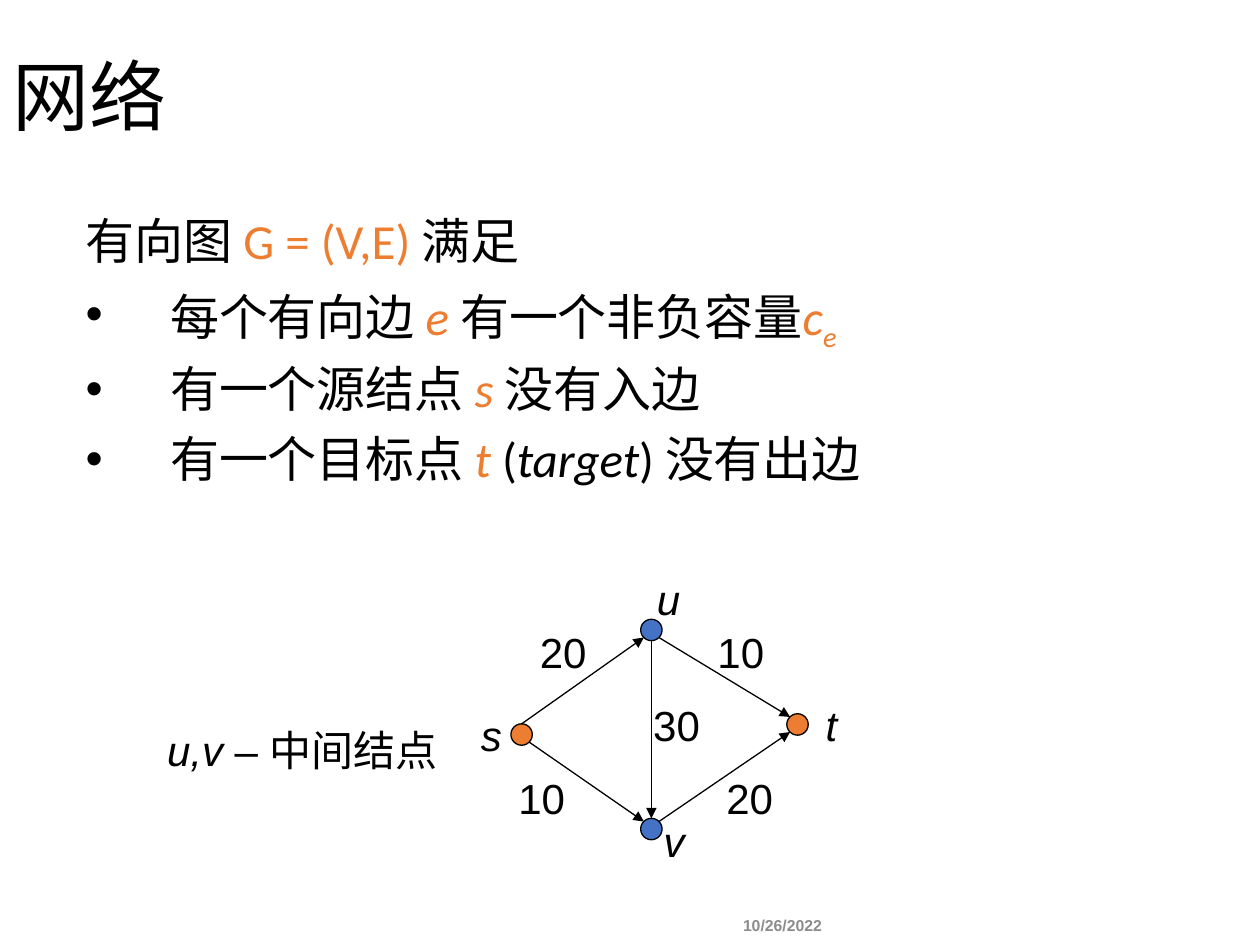
"""Build a slide that defines a flow network and shows a small example."""
from lxml.etree import SubElement
from pptx import Presentation
from pptx.dml.color import RGBColor
from pptx.enum.shapes import MSO_CONNECTOR, MSO_SHAPE
from pptx.enum.text import MSO_ANCHOR, MSO_AUTO_SIZE, PP_ALIGN
from pptx.oxml.ns import qn
from pptx.util import Inches, Pt

BLACK, ORANGE, BLUE, GREY = "000000", "ED7D31", "4472C4", "8C8C8C"
TITLE = "网络"
PLAIN, MATH, SYMBOL, SUBSCRIPT, WORD = "plain", "math", "symbol", "subscript", "word"
STYLES = {
    PLAIN: (BLACK, False),
    MATH: (ORANGE, False),
    SYMBOL: (ORANGE, True),
    SUBSCRIPT: (ORANGE, True),
    WORD: (BLACK, True),
}
BODY = [
    [("有向图 ", PLAIN), ("G = (V,E) ", MATH), ("满足", PLAIN)],
    [("每个有向边 ", PLAIN), ("e ", SYMBOL), ("有一个非负容量", PLAIN),
     ("c", SYMBOL), ("e", SUBSCRIPT)],
    [("有一个源结点 ", PLAIN), ("s ", SYMBOL), ("没有入边", PLAIN)],
    [("有一个目标点 ", PLAIN), ("t", SYMBOL), (" (", PLAIN),
     ("target", WORD), (") 没有出边", PLAIN)],
]
DIAMETER = 0.17
NODES = {
    "s": ((4.14, 5.83), ORANGE, (3.9, 5.83)),
    "u": ((5.17, 5.0), BLUE, (5.3, 4.75)),
    "t": ((6.33, 5.75), ORANGE, (6.6, 5.75)),
    "v": ((5.17, 6.58), BLUE, (5.35, 6.67)),
}
SIDES = {
    "top": (0, -0.5), "bottom": (0, 0.5),
    "top left": (-0.35, -0.35), "top right": (0.35, -0.35),
    "bottom left": (-0.35, 0.35), "bottom right": (0.35, 0.35),
}
EDGES = [
    ("s", "top", "u", "bottom left", "20", (4.47, 5.17)),
    ("u", "bottom right", "t", "top left", "10", (5.88, 5.17)),
    ("s", "bottom right", "v", "top left", "10", (4.3, 6.33)),
    ("v", "top right", "t", "bottom left", "20", (5.95, 6.33)),
    ("u", "bottom", "v", "top", "30", (5.37, 5.75)),
]


def rgb(value):
    return RGBColor.from_string(value)


def set_font(font, size, color, name="Arial", italic=False, bold=False):
    font.size, font.name = Pt(size), name
    font.italic, font.bold = italic, bold
    font.color.rgb = rgb(color)


def place(shape, left, top, width, height):
    shape.left, shape.top = Inches(left), Inches(top)
    shape.width, shape.height = Inches(width), Inches(height)


def add_label(slide, text, center, width=0.57, height=0.5, wrap=False, **style):
    box = slide.shapes.add_textbox(
        Inches(center[0] - width / 2), Inches(center[1] - height / 2),
        Inches(width), Inches(height))
    frame = box.text_frame
    frame.word_wrap = wrap
    frame.vertical_anchor = MSO_ANCHOR.MIDDLE
    paragraph = frame.paragraphs[0]
    paragraph.alignment = PP_ALIGN.CENTER
    paragraph.add_run().text = text
    set_font(paragraph.font, **{"size": 24, "color": BLACK, **style})
    return paragraph


def add_title(slide):
    title = slide.shapes.title
    place(title, 0, 0.17, 9.17, 1.25)
    title.text_frame.text = TITLE
    title.text_frame.vertical_anchor = MSO_ANCHOR.MIDDLE
    paragraph = title.text_frame.paragraphs[0]
    paragraph.alignment = PP_ALIGN.LEFT
    paragraph.line_spacing = 0.9
    set_font(paragraph.font, 44, BLACK, "Calibri")


def add_body(slide):
    body = slide.placeholders[1]
    place(body, 0.58, 1.67, 9.42, 3.92)
    frame = body.text_frame
    frame.auto_size = MSO_AUTO_SIZE.NONE
    for index, runs in enumerate(BODY):
        paragraph = frame.add_paragraph() if index else frame.paragraphs[0]
        paragraph.line_spacing = 0.9
        paragraph.space_before = Pt(10 if index else 0)
        properties = paragraph._p.get_or_add_pPr()
        properties.set("marL", str(Inches(0.67)))
        properties.set("indent", str(-Inches(0.67)))
        if index:
            SubElement(properties, qn("a:buFont")).set("typeface", "Arial")
            SubElement(properties, qn("a:buChar")).set("char", "•")
        else:
            SubElement(properties, qn("a:buNone"))
        for text, style in runs:
            run = paragraph.add_run()
            run.text = text
            color, italic = STYLES[style]
            set_font(run.font, 28, color, "Calibri", italic)
            if style == SUBSCRIPT:
                run._r.get_or_add_rPr().set("baseline", "-25000")


def side_point(node, side):
    return [Inches(center + share * DIAMETER)
            for center, share in zip(NODES[node][0], SIDES[side])]


def add_network(slide):
    for name, ((x, y), color, label_center) in NODES.items():
        node = slide.shapes.add_shape(
            MSO_SHAPE.OVAL, Inches(x - DIAMETER / 2), Inches(y - DIAMETER / 2),
            Inches(DIAMETER), Inches(DIAMETER))
        node.shadow.inherit = False
        node.fill.solid()
        node.fill.fore_color.rgb = rgb(color)
        node.line.color.rgb = rgb(BLACK)
        node.line.width = Pt(0.75)
        add_label(slide, name, label_center, width=0.37, italic=True)
    for source, source_side, target, target_side, capacity, label_center in EDGES:
        edge = slide.shapes.add_connector(
            MSO_CONNECTOR.STRAIGHT, *side_point(source, source_side),
            *side_point(target, target_side))
        edge.line.color.rgb = rgb(BLACK)
        edge.line.width = Pt(0.75)
        SubElement(edge.line._get_or_add_ln(), qn("a:tailEnd")).set("type", "triangle")
        SubElement(edge._element.spPr, qn("a:effectLst"))
        add_label(slide, capacity, label_center)


def main():
    presentation = Presentation()
    presentation.slide_width, presentation.slide_height = Inches(10), Inches(7.5)
    slide = presentation.slides.add_slide(presentation.slide_layouts[1])
    add_title(slide)
    add_body(slide)
    add_network(slide)
    note = add_label(slide, "u,v", (2.4, 5.95), width=2.35, wrap=True)
    note.runs[0].font.italic = True
    note.add_run().text = " – 中间结点"
    add_label(slide, "10/26/2022", (6.21, 7.34), width=1, height=0.33,
              size=9, color=GREY, bold=True)
    presentation.save("out.pptx")


if __name__ == "__main__":
    main()
